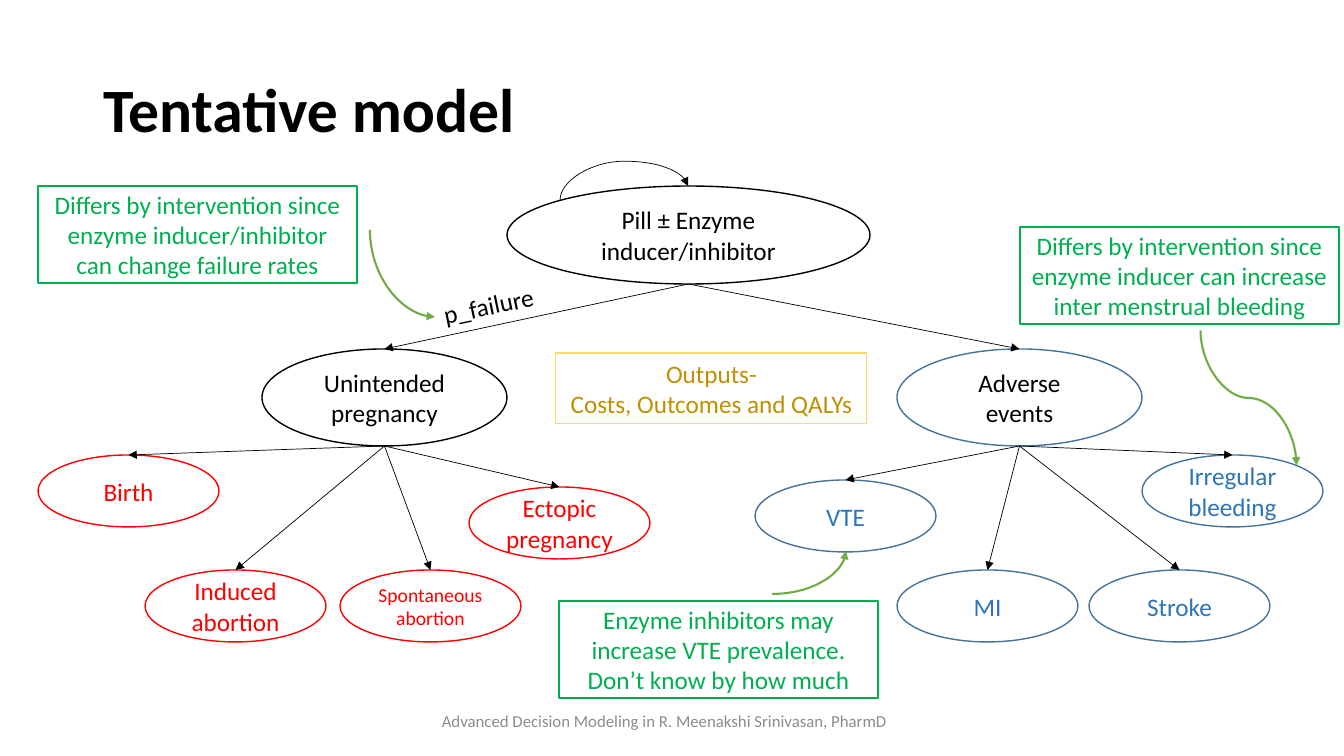
from lxml import etree
from pptx import Presentation
from pptx import util as u
from pptx.dml.color import RGBColor
from pptx.enum import shapes, text
from pptx.oxml.ns import qn

EMU_PER_PIXEL = 914400 / 100.8
BLACK, RED, GREEN, ARROW_GREEN = "000000", "FF0000", "00B050", "70AD47"
BLUE, BLUE_LINE, GOLD, GOLD_LINE, GRAY = "2E75B6", "43739E", "BF9000", "FFD966", "8C8C8C"


def px(*lengths):
    """Turn pixel lengths into EMU."""
    return [u.Emu(round(length * EMU_PER_PIXEL)) for length in lengths]


def color(hex_string):
    """Turn a hex string into a colour."""
    return RGBColor.from_string(hex_string)


def write(shape, lines, size=18, ink=BLACK, bold=False, spacing=None, wrap=True,
          align=text.PP_ALIGN.CENTER, anchor=text.MSO_ANCHOR.MIDDLE):
    """Write and format the text of a shape, one paragraph per line."""
    frame = shape.text_frame
    frame.text = lines
    frame.auto_size = text.MSO_AUTO_SIZE.NONE
    frame.word_wrap = wrap
    frame.vertical_anchor = anchor
    for paragraph in frame.paragraphs:
        paragraph.alignment = align
        paragraph.line_spacing = spacing
        font = paragraph.runs[0].font
        font.name, font.size, font.bold = "Calibri", u.Pt(size), bold
        font.color.rgb = color(ink)


class ModelSlide:
    """The current slide and the style of its elements."""

    outline_width = 1
    edge_width = 0.5
    curve_width = 1.5

    def __init__(self, presentation):
        """Add a title-only slide."""
        self.slide = presentation.slides.add_slide(presentation.slide_layouts[5])

    def title(self, words, box):
        """Place and format the title placeholder."""
        title = self.slide.shapes.title
        title.left, title.top, title.width, title.height = px(*box)
        write(title, words, size=44, bold=True, spacing=0.9, align=text.PP_ALIGN.LEFT)

    def label(self, words, box, rotation=0, **style):
        """Add a plain text box."""
        label = self.slide.shapes.add_textbox(*px(*box))
        label.rotation = rotation
        write(label, words, **style)

    def outlined(self, kind, words, box, line, width=outline_width, **style):
        """Add an unfilled preset shape with text."""
        shape = self.slide.shapes.add_shape(kind, *px(*box))
        shape.shadow.inherit = False
        shape.fill.background()
        shape.line.color.rgb = color(line)
        shape.line.width = u.Pt(width)
        write(shape, words, **style)

    def node(self, words, box, line, **style):
        """Add an ellipse of the model tree."""
        self.outlined(shapes.MSO_SHAPE.OVAL, words, box, line, **style)

    def note(self, words, box, line=GREEN, ink=GREEN, **style):
        """Add a framed note."""
        self.outlined(shapes.MSO_SHAPE.RECTANGLE, words, box, line, ink=ink, **style)

    def connector(self, kind, start, end, line, width):
        """Add a connector with an arrowhead at its end."""
        connector = self.slide.shapes.add_connector(kind, *px(*start, *end))
        connector.line.color.rgb = color(line)
        connector.line.width = u.Pt(width)
        outline = connector.line._get_or_add_ln()
        etree.SubElement(outline, qn("a:tailEnd"), type="triangle")
        etree.SubElement(connector._element.spPr, qn("a:effectLst"))
        return connector

    def edge(self, parent, child):
        """Join the bottom of a parent box to the top of a child box."""
        start = (parent[0] + parent[2] / 2, parent[1] + parent[3])
        end = (child[0] + child[2] / 2, child[1])
        self.connector(shapes.MSO_CONNECTOR.STRAIGHT, start, end, BLACK, self.edge_width)

    def curve(self, box, preset, rotation=0, flips="", bend=None,
              line=ARROW_GREEN, width=curve_width):
        """Add a curved arrow from its unrotated box, turn and flips."""
        left, top, across, down = box
        arrow = self.connector(shapes.MSO_CONNECTOR.CURVE, (left, top),
                               (left + across, top + down), line, width)
        properties = arrow._element.spPr
        transform = properties.find(qn("a:xfrm"))
        transform.set("rot", str(rotation * 60000))
        for axis in flips:
            transform.set("flip" + axis.upper(), "1")
        geometry = properties.find(qn("a:prstGeom"))
        geometry.set("prst", preset)
        if bend is not None:
            guides = geometry.get_or_add_avLst()
            etree.SubElement(guides, qn("a:gd"), name="adj1", fmla=f"val {round(bend * 100000)}")


presentation = Presentation()
presentation.slide_width, presentation.slide_height = px(1344, 756)
model = ModelSlide(presentation)
model.title("Tentative model", (93, 40, 1159, 146))

pill = (507, 186, 363, 98)
pregnancy, adverse = [(left, 349, 245, 97) for left in (262, 897)]
model.node("Pill ± Enzyme inducer/inhibitor", pill, BLACK)
model.node("Unintended pregnancy", pregnancy, BLACK)
model.node("Adverse events", adverse, BLUE_LINE)
model.edge(pill, pregnancy)
model.edge(pill, adverse)

# Leaves of each branch: words, left, top, text size
branches = [
    (pregnancy, RED, RED, [
        ("Birth", 38, 455, 18), ("Induced abortion", 145, 570, 18),
        ("Spontaneous abortion", 340, 570, 14), ("Ectopic pregnancy", 469, 487, 18)]),
    (adverse, BLUE_LINE, BLUE, [
        ("VTE", 755, 480, 18), ("MI", 897, 570, 18),
        ("Stroke", 1089, 570, 18), ("Irregular bleeding", 1142, 455, 18)]),
]
for parent, line, ink, leaves in branches:
    for words, left, top, size in leaves:
        leaf = (left, top, 181, 72)
        model.node(words, leaf, line, ink=ink, size=size)
        model.edge(parent, leaf)

notes = [
    ("Differs by intervention since enzyme inducer/inhibitor can change failure rates", 38, 186),
    ("Differs by intervention since enzyme inducer can increase inter menstrual bleeding", 1020, 227),
    ("Enzyme inhibitors may increase VTE prevalence. Don’t know by how much", 559, 601),
]
for words, left, top in notes:
    model.note(words, (left, top, 319, 97))
model.note("Outputs-\nCosts, Outcomes and QALYs", (556, 353, 311, 71), line=GOLD_LINE,
           ink=GOLD, width=0.75, wrap=False, anchor=text.MSO_ANCHOR.TOP)

model.curve((617, 129, 14, 128), "curvedConnector3", rotation=90, flips="hv", bend=2.77,
            line=BLACK, width=model.edge_width)
model.curve((359, 241, 87, 65), "curvedConnector2", rotation=270, flips="h")
model.curve((1181, 350, 135, 96), "curvedConnector3", rotation=270, flips="h")
model.curve((772, 551, 74, 43), "curvedConnector2", flips="v")

model.label("p_failure", (433, 285, 112, 40), rotation=348.2, wrap=False,
            align=text.PP_ALIGN.LEFT, anchor=text.MSO_ANCHOR.TOP)
model.label("Advanced Decision Modeling in R. Meenakshi Srinivasan, PharmD",
            (430, 701, 469, 40), size=12, ink=GRAY)

presentation.save("out.pptx")
